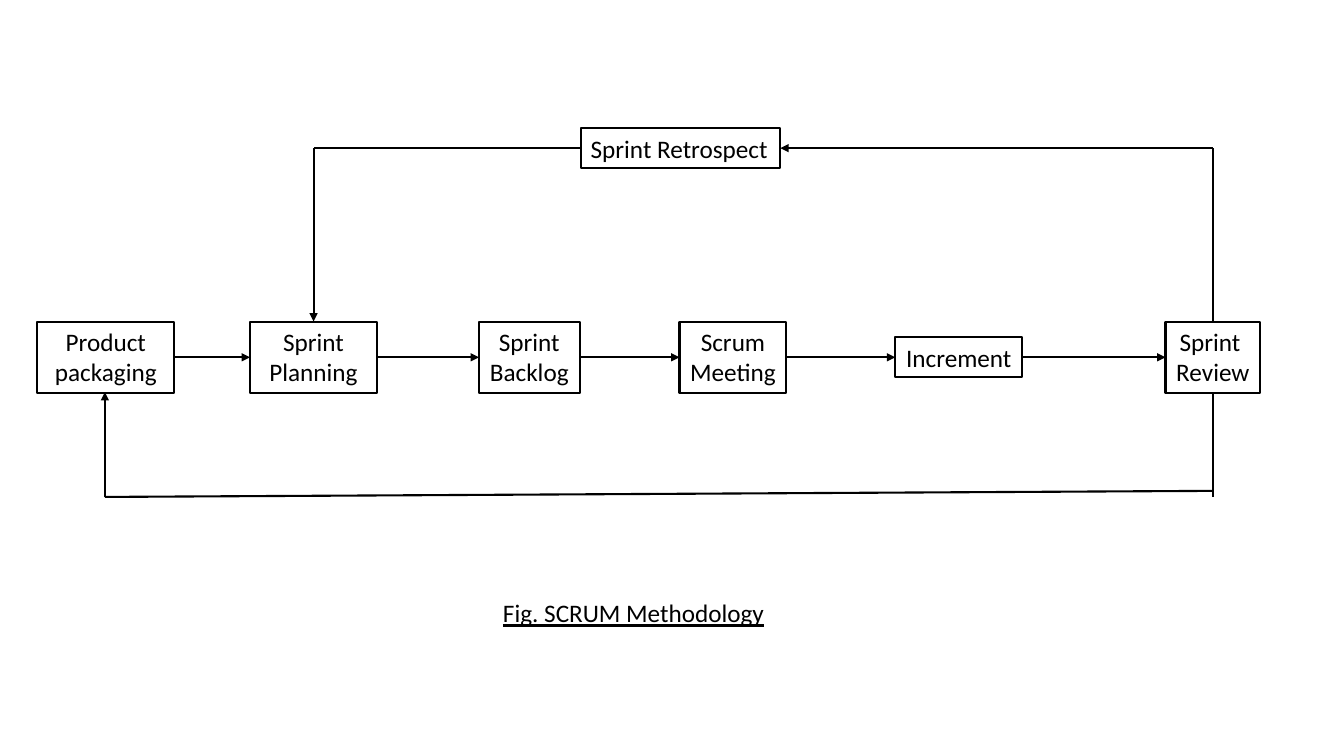
from pptx import Presentation
from pptx.dml.color import RGBColor
from pptx.enum.shapes import MSO_CONNECTOR, MSO_SHAPE
from pptx.enum.text import MSO_ANCHOR, MSO_AUTO_SIZE, PP_ALIGN
from pptx.oxml.ns import qn
from pptx.util import Inches, Pt
from lxml import etree

RECT = MSO_SHAPE.RECTANGLE
LINE = MSO_CONNECTOR.STRAIGHT
TOP = MSO_ANCHOR.TOP
GROW = MSO_AUTO_SIZE.SHAPE_TO_FIT_TEXT
LEFT, MID = PP_ALIGN.LEFT, PP_ALIGN.CENTER

COLS, ROWS = 133.3, 75
CELL = Inches(0.1)
HUES = {"ink": "000000"}
INK = RGBColor.from_string(HUES["ink"])
FONT, SIZE, EDGE = "Calibri", Pt(18), Pt(1.5)
LABEL = 4

STEPS = [
    (0, 13.6, 7.1, ["Product packaging"], True),
    (21.1, 12.6, 7.1, ["Sprint", "Planning"], True),
    (43.8, 10, 7.1, ["Sprint", "Backlog"], True),
    (63.7, 10.6, 7.1, ["Scrum", "Meeting"], False),
    (85.1, 12.6, LABEL, ["Increment"], False),
    (111.9, 9.4, 7.1, ["Sprint ", "Review"], False),
]


def grid(*vals):
    """Turn grid cells into slide lengths."""
    return [int(v * CELL) for v in vals]


def write(shape, lines, align, wrap=False, under=False):
    """Fill a shape with one paragraph per line."""
    frame = shape.text_frame
    frame.word_wrap = wrap
    frame.auto_size = GROW
    frame.vertical_anchor = TOP
    for num, text in enumerate(lines):
        para = frame.paragraphs[0] if num == 0 else frame.add_paragraph()
        para.alignment = align
        run = para.add_run()
        run.text = text
        font = run.font
        font.name, font.size, font.color.rgb = FONT, SIZE, INK
        if under:
            font.underline = True


def frame_box(slide, box, lines, align=MID, wrap=False):
    """Draw an outlined box with text."""
    shape = slide.shapes.add_shape(RECT, *grid(*box))
    shape.shadow.inherit = False
    shape.fill.background()
    shape.line.color.rgb = INK
    shape.line.width = EDGE
    write(shape, lines, align, wrap)


def link(slide, start, end, arrow=False):
    """Draw a straight line, with an arrowhead at its end if asked."""
    line = slide.shapes.add_connector(LINE, *grid(*start, *end))
    line.line.color.rgb = INK
    line.line.width = EDGE
    if arrow:
        tail = etree.SubElement(line.line._get_or_add_ln(), qn("a:tailEnd"))
        tail.set("type", "triangle")
    etree.SubElement(line._element.spPr, qn("a:effectLst"))


def flow(slide, box):
    """Place the steps in a row, joined by arrows."""
    left, top, _, high = box
    mid = top + high / 2
    last = None
    for x, wide, tall, lines, wrap in STEPS:
        if last is not None:
            link(slide, (last, mid), (left + x, mid), True)
        frame_box(slide, (left + x, mid - tall / 2, wide, tall), lines, wrap=wrap)
        last = left + x + wide


def retro(slide, box):
    """Place the upper loop from review back to planning."""
    left, top, wide, high = box
    right, base, mid = left + wide, top + high, top + LABEL / 2
    start, span = left + 26.5, 19.8
    frame_box(slide, (start, top, span, LABEL), ["Sprint Retrospect"], LEFT)
    link(slide, (right, base), (right, mid))
    link(slide, (right, mid), (start + span, mid), True)
    link(slide, (start, mid), (left, mid))
    link(slide, (left, mid), (left, base), True)


def back(slide, box):
    """Place the lower loop from review back to packaging."""
    left, top, wide, high = box
    right, base = left + wide, top + high
    link(slide, (right, top), (right, base))
    link(slide, (right, base - 0.6), (left, base))
    link(slide, (left, base), (left, top), True)


def title(slide, box):
    """Place the underlined caption."""
    shape = slide.shapes.add_textbox(*grid(*box))
    write(shape, ["Fig. SCRUM Methodology"], LEFT, under=True)


def main():
    """Build and save the slide."""
    deck = Presentation()
    deck.slide_width, deck.slide_height = grid(COLS, ROWS)
    slide = deck.slides.add_slide(deck.slide_layouts[6])
    flow(slide, (3.7, 31.9, 121.3, 7.1))
    retro(slide, (31.1, 12.7, 89.2, 19.2))
    back(slide, (10.4, 38.9, 109.9, 10.4))
    title(slide, (48.9, 58.8, 28.2, LABEL))
    deck.save("out.pptx")


main()
